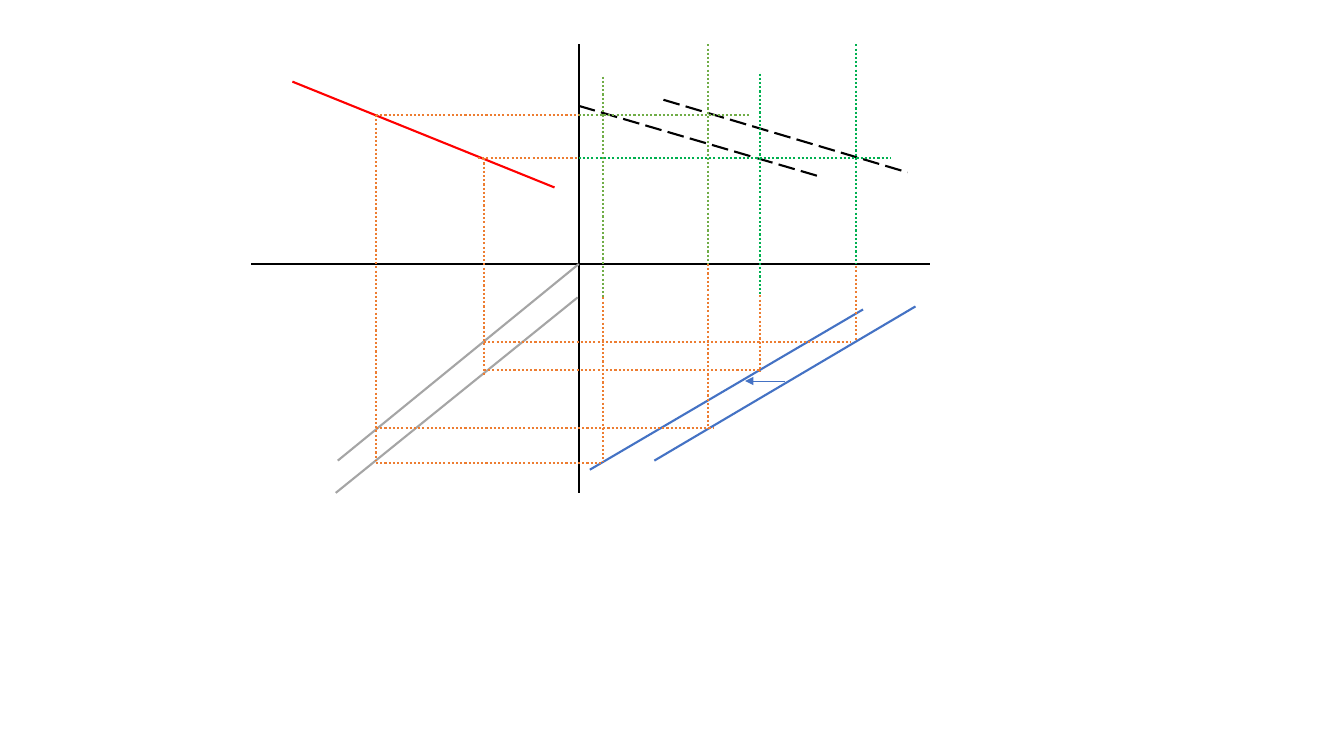
"""Draw a four-quadrant diagram of shifting curves joined by dotted guides."""
from lxml import etree
from pptx import Presentation
from pptx.dml.color import RGBColor
from pptx.enum.dml import MSO_LINE
from pptx.enum.shapes import MSO_CONNECTOR
from pptx.oxml.ns import qn
from pptx.util import Inches, Pt

STRAIGHT = MSO_CONNECTOR.STRAIGHT
DOTTED = MSO_LINE.ROUND_DOT
DASHED = MSO_LINE.LONG_DASH
COLUMNS, ROWS = 13.33, 7.5
COLORS = {
    "axis": "000000",
    "blue": "4472C4",
    "red": "FF0000",
    "gray": "A5A5A5",
    "orange": "ED7D31",
    "olive": "70AD47",
    "green": "00B050",
}


class Diagram:
    """Hold the line style and the current slide, placing lines by column and row."""

    def __init__(self, deck, weight=1.5):
        self.slide = deck.slides.add_slide(deck.slide_layouts[6])
        self.column = deck.slide_width / COLUMNS
        self.row = deck.slide_height / ROWS
        self.weight = weight

    def line(self, color, start, end, dash=None, weight=None):
        """Draw a straight line between two grid points."""
        ends = [round(share * unit) for point in (start, end)
                for share, unit in zip(point, (self.column, self.row))]
        stroke = self.slide.shapes.add_connector(STRAIGHT, *ends)
        stroke.line.color.rgb = RGBColor.from_string(COLORS[color])
        stroke.line.width = Pt(weight or self.weight)
        if dash is not None:
            stroke.line.dash_style = dash
        etree.SubElement(stroke._element.spPr, qn("a:effectLst"))
        return stroke

    def across(self, color, row, left, right):
        """Draw a horizontal dotted guide."""
        self.line(color, (left, row), (right, row), DOTTED)

    def upright(self, color, column, top, bottom):
        """Draw a vertical dotted guide."""
        self.line(color, (column, top), (column, bottom), DOTTED)

    def arrow(self, color, start, end, weight):
        """Draw a line with a triangle at its end."""
        stroke = self.line(color, start, end, weight=weight)
        head = etree.Element(qn("a:tailEnd"), type="triangle")
        stroke.line._get_or_add_ln().append(head)


def main():
    """Build and save the slide."""
    deck = Presentation()
    deck.slide_width, deck.slide_height = Inches(COLUMNS), Inches(ROWS)
    diagram = Diagram(deck)

    origin_x, origin_y = 5.74, 2.62
    far_left, near_left = 3.73, 4.8
    low_old, low_new = 7.02, 5.98
    high_old, high_new = 8.49, 7.54
    upper, lower = 1.14, 1.57

    diagram.line("axis", (origin_x, 0.44), (origin_x, 4.89))
    diagram.line("axis", (2.49, origin_y), (9.22, origin_y))

    for color, start, end, dash in (
        ("blue", (6.49, 4.57), (9.08, 3.04), None),
        ("red", (2.9, 0.81), (5.5, 1.86), None),
        ("gray", (3.35, 4.57), (origin_x, origin_y), None),
        ("axis", (6.58, 0.99), (9, 1.71), DASHED),
        ("gray", (3.33, 4.89), (5.73, 2.95), None),
        ("blue", (5.85, 4.66), (8.56, 3.07), None),
        ("axis", (origin_x, 1.05), (8.16, 1.76), DASHED),
    ):
        diagram.line(color, start, end, dash)

    for color, row, left, right in (
        ("orange", upper, far_left, origin_x),
        ("olive", upper, origin_x, 7.45),
        ("orange", lower, 4.74, origin_x),
        ("green", lower, origin_x, 8.84),
        ("orange", 3.39, near_left, 8.44),
        ("orange", 3.67, near_left, high_new),
        ("orange", 4.25, far_left, 7.07),
        ("orange", 4.59, far_left, low_new),
    ):
        diagram.across(color, row, left, right)

    for color, column, top, bottom in (
        ("orange", far_left, upper, 4.57),
        ("orange", near_left, lower, 3.72),
        ("olive", low_new, 0.76, 2.95),
        ("orange", low_new, 2.95, 4.58),
        ("olive", low_old, 0.44, origin_y),
        ("orange", low_old, origin_y, 4.25),
        ("green", high_new, 0.73, 2.92),
        ("orange", high_new, 2.93, 3.69),
        ("green", high_old, 0.44, origin_y),
        ("orange", high_old, 2.64, 3.39),
    ):
        diagram.upright(color, column, top, bottom)

    diagram.arrow("blue", (7.79, 3.78), (7.39, 3.78), weight=0.5)
    deck.save("out.pptx")


if __name__ == "__main__":
    main()
